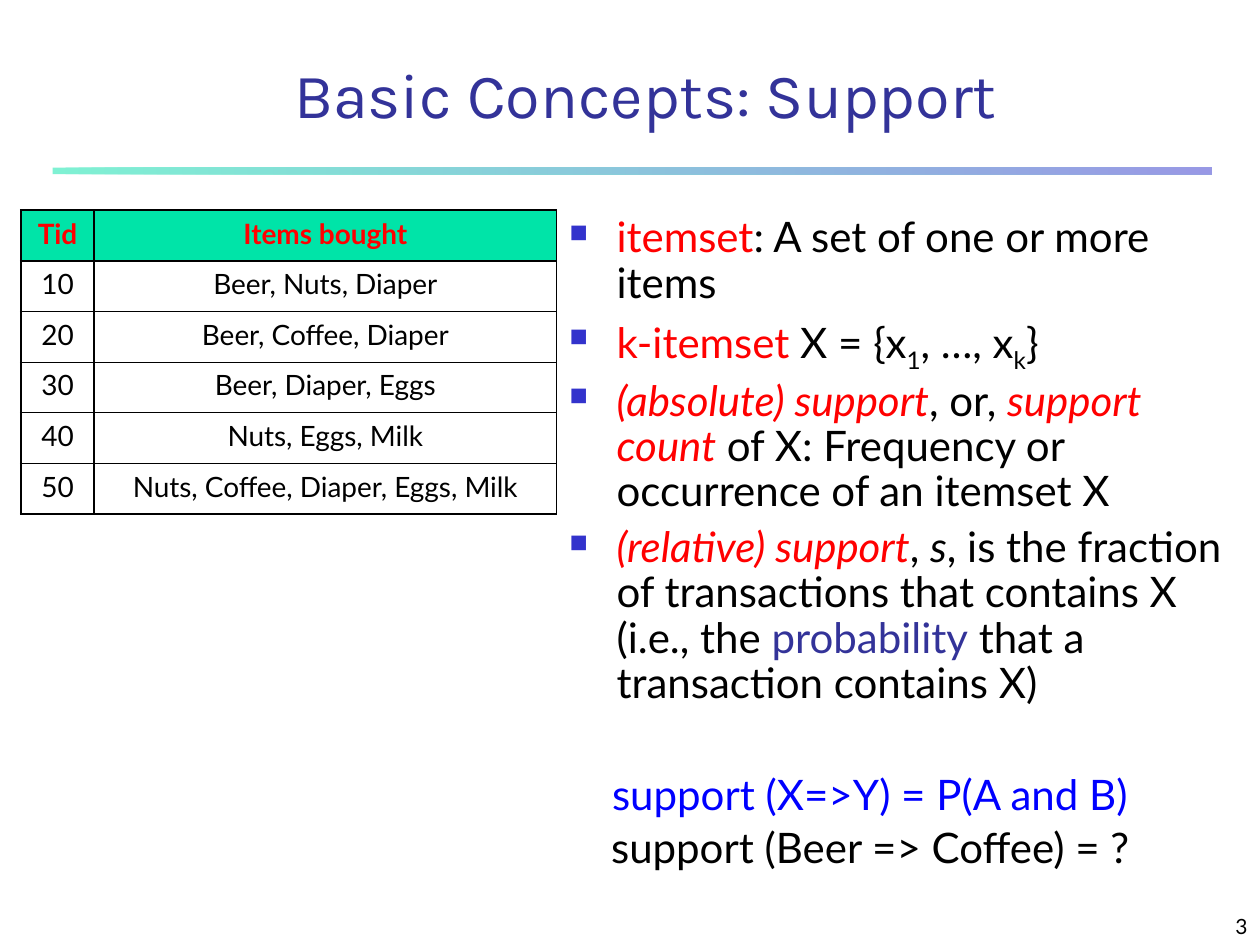
import dataclasses

import lxml.etree
import pptx
import pptx.dml.color
import pptx.enum.shapes
import pptx.enum.text
import pptx.oxml.ns
import pptx.util

Cm = pptx.util.Cm
Pt = pptx.util.Pt
RGB = pptx.dml.color.RGBColor.from_string
qn = pptx.oxml.ns.qn
ALIGN = pptx.enum.text.PP_ALIGN
ANCHOR = pptx.enum.text.MSO_ANCHOR


@dataclasses.dataclass(frozen=True)
class Theme:
    heading_font: str = "Karla"
    body_font: str = "Lato"
    ink: str = "000000"
    title: str = "333399"
    term: str = "FF0000"
    formula: str = "0000FF"
    bullet: str = "3333CC"
    header: str = "00E4A8"
    title_size: int = 36
    body_size: int = 24
    table_size: int = 16
    number_size: int = 12
    thick: float = 1.08
    thin: float = 0.45


theme = Theme()
STYLES = {
    "plain": {"color": theme.ink},
    "title": {"color": theme.title, "name": theme.heading_font, "size": Pt(theme.title_size)},
    "term": {"color": theme.term},
    "term italic": {"color": theme.term, "italic": True},
    "italic": {"color": theme.ink, "italic": True},
    "subscript": {"color": theme.ink, "baseline": "-25000"},
    "accent": {"color": theme.title},
    "formula": {"color": theme.formula},
    "header": {"color": theme.term, "bold": True, "size": Pt(theme.table_size)},
    "cell": {"color": theme.ink, "size": Pt(theme.table_size)},
    "number": {"color": theme.ink, "size": Pt(theme.number_size)},
}


def write_paragraph(paragraph, runs, layout):
    for name, value in layout.items():
        setattr(paragraph, name, value)
    for text, style in runs:
        run = paragraph.add_run()
        run.text = text
        values = {"name": theme.body_font, "size": Pt(theme.body_size)} | STYLES[style]
        run.font.color.rgb = RGB(values.pop("color"))
        baseline = values.pop("baseline", None)
        if baseline:
            run.font._element.set("baseline", baseline)
        for name, value in values.items():
            setattr(run.font, name, value)


def add_text_frame(left, top, width, height, anchor):
    shape = slide.shapes.add_textbox(Cm(left), Cm(top), Cm(width), Cm(height))
    frame = shape.text_frame
    for name, value in {"word_wrap": True, "vertical_anchor": anchor}.items():
        setattr(frame, name, value)
    return frame


presentation = pptx.Presentation()
presentation.slide_width = Cm(25.4)
presentation.slide_height = Cm(19.05)
slide = presentation.slides.add_slide(presentation.slide_layouts[6])

rule = slide.shapes.add_shape(
    pptx.enum.shapes.MSO_SHAPE.RECTANGLE, Cm(1.06), Cm(3.38), Cm(23.37), Cm(0.13)
)
rule.shadow.inherit = False
rule.line.fill.background()
rule.fill.gradient()
rule.fill.gradient_angle = 0
for stop, color in zip(rule.fill.gradient_stops, (theme.header, theme.bullet)):
    stop.color.rgb = RGB(color)
for color in rule.element.spPr.iter(qn("a:srgbClr")):
    lxml.etree.SubElement(color, qn("a:alpha"), val="50000")

single_lines = [
    ((20.12, 17.98, 5.28, 1.07, ANCHOR.BOTTOM), "3", "number", {"alignment": ALIGN.RIGHT}),
    ((1.9, 0.64, 22.23, 2.12, ANCHOR.BOTTOM), "Basic Concepts: Support", "title",
     {"alignment": ALIGN.CENTER}),
    ((12.07, 16.56, 12.7, 1.17, ANCHOR.TOP), "support (Beer => Coffee) = ?", "plain",
     {"line_spacing": 0.9}),
]
for box, text, style, layout in single_lines:
    write_paragraph(add_text_frame(*box).paragraphs[0], [(text, style)], layout)

definitions = [
    [("itemset", "term"), (": A set of one or more items", "plain")],
    [("k-itemset", "term"), (" X = {x", "plain"), ("1", "subscript"),
     (", …, x", "plain"), ("k", "subscript"), ("}", "plain")],
    [("(absolute) support", "term italic"), (", or, ", "plain"),
     ("support count", "term italic"),
     (" of X: Frequency or occurrence of an itemset X", "plain")],
    [("(relative) support", "term italic"), (", ", "plain"), ("s", "italic"),
     (", is the fraction of transactions that contains X (i.e., the ", "plain"),
     ("probability", "accent"), (" that a transaction contains X)", "plain")],
]
body = add_text_frame(11.23, 4.24, 13.77, 13.77, ANCHOR.TOP)
for index, runs in enumerate(definitions):
    paragraph = body.add_paragraph() if index else body.paragraphs[0]
    write_paragraph(paragraph, runs, {"line_spacing": 0.9, "space_before": Pt(6)})
    properties = paragraph._p.get_or_add_pPr()
    properties.set("marL", str(Cm(0.95)))
    properties.set("indent", str(Cm(-0.95)))
    bullet_color = lxml.etree.SubElement(properties, qn("a:buClr"))
    lxml.etree.SubElement(bullet_color, qn("a:srgbClr"), val=theme.bullet)
    lxml.etree.SubElement(properties, qn("a:buSzPct"), val="60000")
    lxml.etree.SubElement(properties, qn("a:buChar"), char="■")

formula = body.add_paragraph()
write_paragraph(formula, [("support (X=>Y) = P(A and B)", "formula")],
                {"line_spacing": 0.9, "space_before": Pt(38)})
formula._p.get_or_add_pPr().set("marL", str(Cm(0.86)))

transactions = [
    ("Tid", "Items bought"),
    ("10", "Beer, Nuts, Diaper"),
    ("20", "Beer, Coffee, Diaper"),
    ("30", "Beer, Diaper, Eggs"),
    ("40", "Nuts, Eggs, Milk"),
    ("50", "Nuts, Coffee, Diaper, Eggs, Milk"),
]
row_height = 1.02
table = slide.shapes.add_table(
    len(transactions), 2, Cm(0.42), Cm(4.24), Cm(10.8), Cm(row_height * len(transactions))
).table
for name in ("first_row", "horz_banding"):
    setattr(table, name, False)
for column, width in zip(table.columns, (1.48, 9.32)):
    column.width = Cm(width)

thick_edges = (0, 1, len(transactions))
for row, values in enumerate(transactions):
    table.rows[row].height = Cm(row_height)
    for column, text in enumerate(values):
        cell = table.cell(row, column)
        write_paragraph(cell.text_frame.paragraphs[0], [(text, "cell" if row else "header")],
                        {"alignment": ALIGN.CENTER, "space_before": Pt(4)})
        top, bottom = (
            theme.thick if edge in thick_edges else theme.thin for edge in (row, row + 1)
        )
        widths = {"a:lnL": theme.thick, "a:lnR": theme.thick, "a:lnT": top, "a:lnB": bottom}
        cell_properties = cell._tc.get_or_add_tcPr()
        for tag, width in widths.items():
            line = lxml.etree.SubElement(cell_properties, qn(tag), w=str(Pt(width)))
            fill = lxml.etree.SubElement(line, qn("a:solidFill"))
            lxml.etree.SubElement(fill, qn("a:srgbClr"), val=theme.ink)
        if row:
            cell.fill.background()
        else:
            cell.fill.solid()
            cell.fill.fore_color.rgb = RGB(theme.header)

presentation.save("out.pptx")
